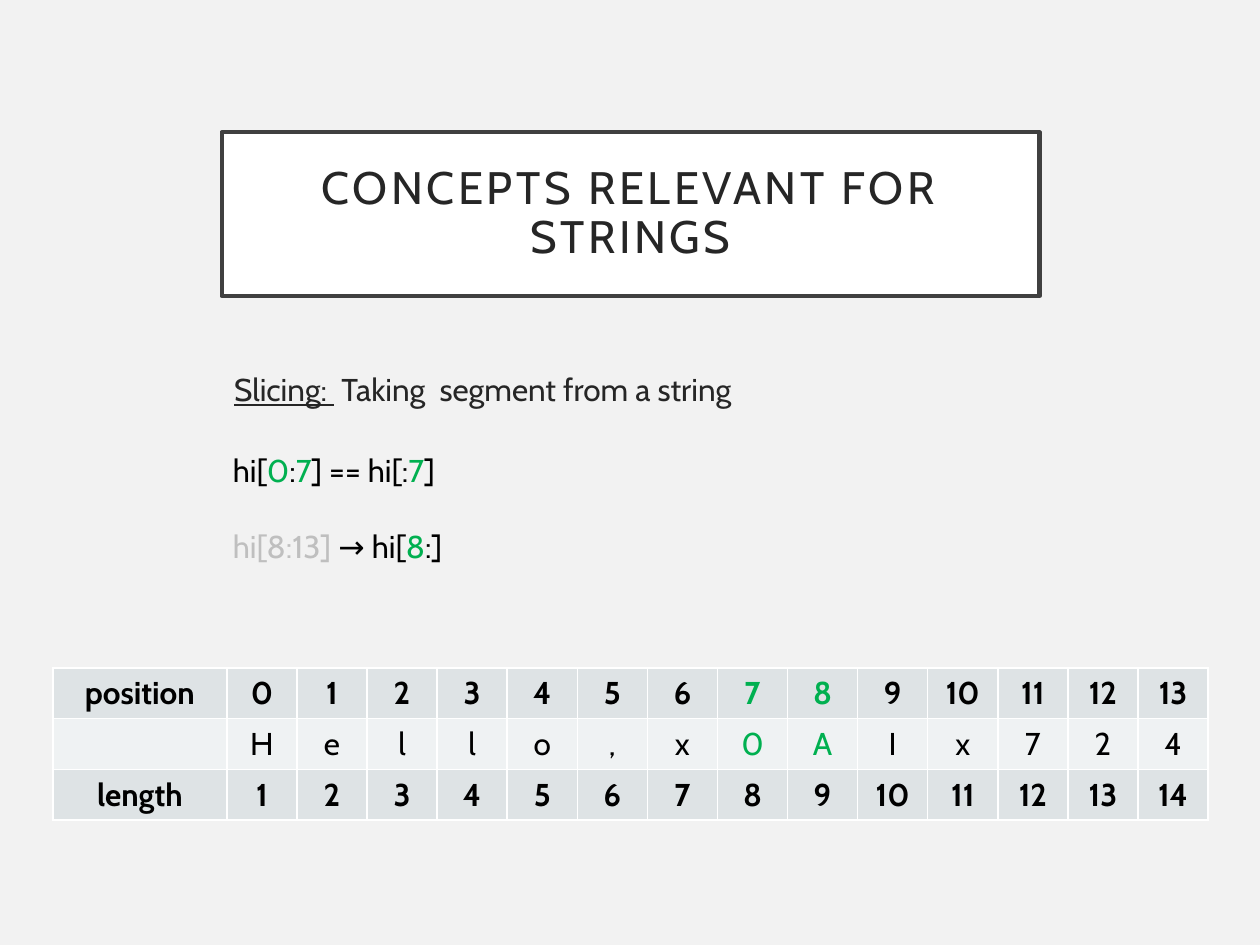
from lxml import etree
from pptx import Presentation
from pptx.dml.color import RGBColor
from pptx.enum import shapes, text
from pptx.oxml import ns
from pptx.util import Inches, Pt

FONT = "Cabin"
BLACK, GREEN, GRAY, DARK, WHITE = "000000", "00B050", "BFBFBF", "262626", "FFFFFF"

TITLE = "CONCEPTS RELEVANT FOR STRINGS"
DEFINITION = [[("Slicing: ", DARK, {"underline": True}),
               (" Taking  segment from a string", DARK, {})]]
EXAMPLES = [
    [("hi[", BLACK, {}), ("0", GREEN, {}), (":", BLACK, {}), ("7", GREEN, {}),
     ("] == hi[:", BLACK, {}), ("7", GREEN, {}), ("]", BLACK, {})],
    [("hi[8:13] ", GRAY, {}), ("→ hi[", BLACK, {}), ("8", GREEN, {}), (":]", BLACK, {})],
]

CHARACTERS = list("Hello,x0AIx724")
COUNT = len(CHARACTERS)
# Row label, values, bold, fill, highlighted positions
ROWS = [
    ("position", range(COUNT), True, "DEE3E5", (7, 8)),
    ("", CHARACTERS, False, "EFF2F3", (7, 8)),
    ("length", range(1, COUNT + 1), True, "DEE3E5", ()),
]
TABLE_LEFT, TABLE_TOP, TABLE_WIDTH, TABLE_HEIGHT = 0.42, 5.3, 9.17, 1.21
LABEL_WIDTH = 1.38


def color(value):
    return RGBColor.from_string(value)


def paint(target, value):
    target.fill.solid()
    target.fill.fore_color.rgb = color(value)


def add_run(paragraph, content, value, size=18, **formats):
    run = paragraph.add_run()
    run.text = content
    run.font.color.rgb = color(value)
    for name, setting in {"name": FONT, "size": Pt(size), **formats}.items():
        setattr(run.font, name, setting)
    return run


def add_text(slide, box, paragraphs, gap=0):
    frame = slide.shapes.add_textbox(*map(Inches, box)).text_frame
    frame.word_wrap = True
    for index, runs in enumerate(paragraphs):
        paragraph = frame.add_paragraph() if index else frame.paragraphs[0]
        if index:
            paragraph.space_before = Pt(gap)
        for content, value, formats in runs:
            add_run(paragraph, content, value, **formats)


def add_title(slide):
    shape = slide.shapes.add_shape(shapes.MSO_SHAPE.RECTANGLE,
                                   *map(Inches, (1.76, 1.05, 6.49, 1.3)))
    shape.shadow.inherit = False
    paint(shape, WHITE)
    shape.line.color.rgb = color("404040")
    shape.line.width = Pt(2.5)
    frame = shape.text_frame
    frame.word_wrap = True
    frame.vertical_anchor = text.MSO_ANCHOR.MIDDLE
    for side in ("left", "top", "right", "bottom"):
        setattr(frame, f"margin_{side}", Inches(0.2))
    paragraph = frame.paragraphs[0]
    paragraph.alignment = text.PP_ALIGN.CENTER
    paragraph.line_spacing = 0.9
    run = add_run(paragraph, TITLE, DARK, size=26)
    run.font._element.set("spc", "200")


def add_borders(cell):
    """Draw a thin white line on every side; borders must precede the fill."""
    properties = cell._tc.get_or_add_tcPr()
    for index, side in enumerate(("lnL", "lnR", "lnT", "lnB")):
        line = etree.Element(ns.qn(f"a:{side}"), w=str(Pt(1)))
        fill = etree.SubElement(line, ns.qn("a:solidFill"))
        etree.SubElement(fill, ns.qn("a:srgbClr"), val=WHITE)
        properties.insert(index, line)


def add_table(slide):
    table = slide.shapes.add_table(
        len(ROWS), COUNT + 1,
        *map(Inches, (TABLE_LEFT, TABLE_TOP, TABLE_WIDTH, TABLE_HEIGHT))).table
    for index, column in enumerate(table.columns):
        column.width = Inches((TABLE_WIDTH - LABEL_WIDTH) / COUNT if index else LABEL_WIDTH)
    for row, (label, values, bold, fill, highlights) in enumerate(ROWS):
        table.rows[row].height = Inches(TABLE_HEIGHT / len(ROWS))
        for column, value in enumerate([label, *values]):
            cell = table.cell(row, column)
            paint(cell, fill)
            add_borders(cell)
            paragraph = cell.text_frame.paragraphs[0]
            paragraph.alignment = text.PP_ALIGN.CENTER
            paragraph.font.size = Pt(18)
            if value != "":
                shade = GREEN if column - 1 in highlights else BLACK
                add_run(paragraph, str(value), shade, bold=bold)


def main():
    presentation = Presentation()
    presentation.slide_width, presentation.slide_height = Inches(10), Inches(7.5)
    slide = presentation.slides.add_slide(presentation.slide_layouts[6])
    paint(slide.background, "F2F2F2")
    add_title(slide)
    add_text(slide, (1.76, 2.89, 6.49, 3.39), DEFINITION)
    add_text(slide, (1.75, 3.53, 7.41, 1.01), EXAMPLES, gap=21.6)
    add_table(slide)
    presentation.save("out.pptx")


if __name__ == "__main__":
    main()
